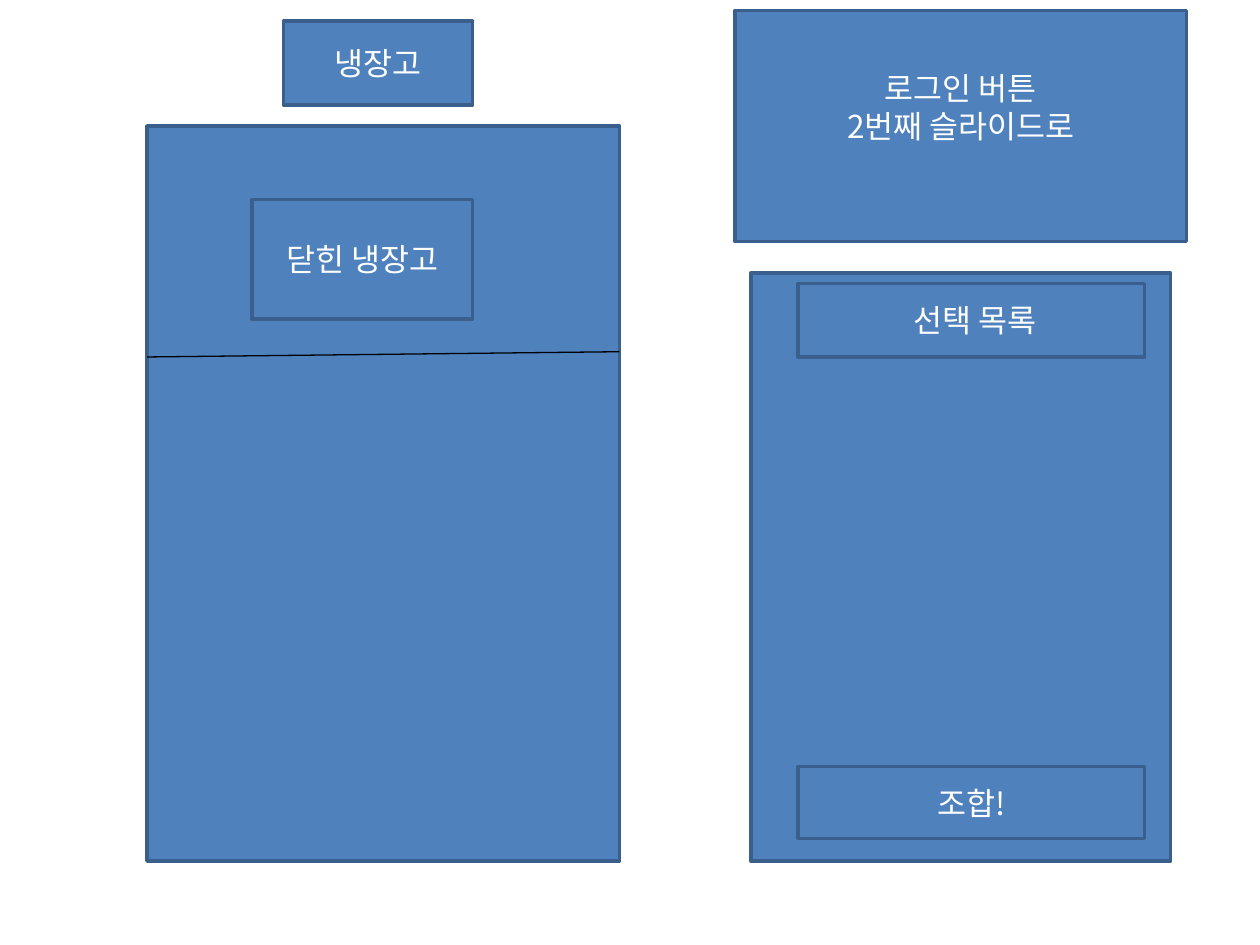
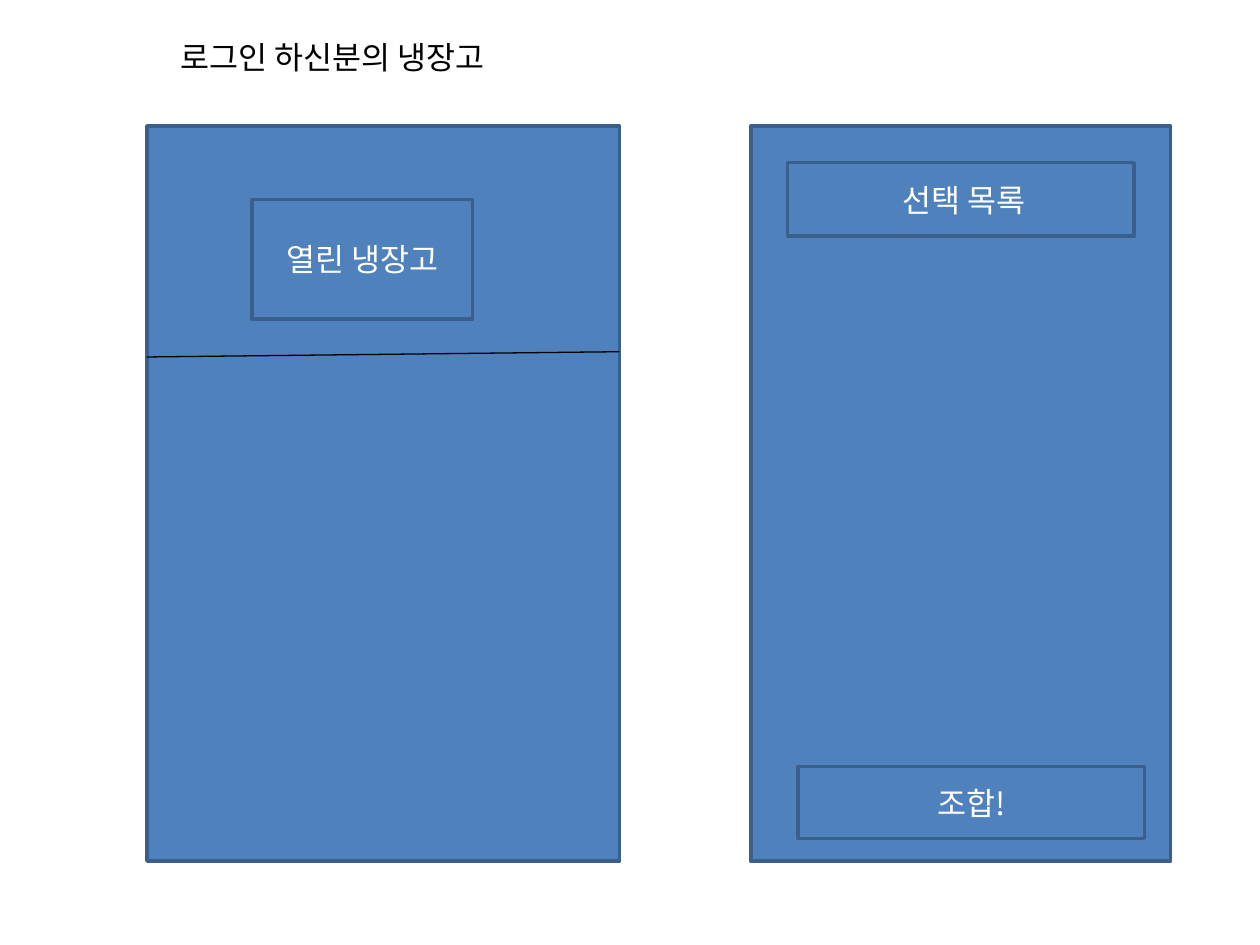
import pptx
import pptx.util
import pptx.dml.color
import pptx.enum.shapes
import pptx.enum.text
import pptx.oxml.ns
import lxml.etree

PANEL_BLUE = pptx.dml.color.RGBColor(0x4F, 0x81, 0xBD)
EDGE_BLUE = pptx.dml.color.RGBColor(0x3A, 0x5F, 0x8C)
WHITE = pptx.dml.color.RGBColor(0xFF, 0xFF, 0xFF)
BLACK = pptx.dml.color.RGBColor(0x00, 0x00, 0x00)
FONT = "Noto Sans CJK KR"
COLUMNS, ROWS = 120, 90

deck = pptx.Presentation()
deck.slide_width = pptx.util.Inches(10)
deck.slide_height = pptx.util.Inches(7.5)
column = deck.slide_width / COLUMNS
row = deck.slide_height / ROWS


def write(frame, text, color, alignment):
    frame.text = text
    frame.word_wrap = True
    for paragraph in frame.paragraphs:
        paragraph.alignment = alignment
        for run in paragraph.runs:
            run.font.size = pptx.util.Pt(18)
            run.font.color.rgb = color
            run.font.name = FONT
            lxml.etree.SubElement(run.font._element, pptx.oxml.ns.qn("a:ea"), typeface=FONT)


def add_box(slide, left, top, width, height, text=""):
    box = slide.shapes.add_shape(
        pptx.enum.shapes.MSO_SHAPE.RECTANGLE,
        int(left * column), int(top * row), int(width * column), int(height * row))
    box.shadow.inherit = False
    box.fill.solid()
    box.fill.fore_color.rgb = PANEL_BLUE
    box.line.color.rgb = EDGE_BLUE
    box.line.width = pptx.util.Pt(2)
    box.text_frame.vertical_anchor = pptx.enum.text.MSO_ANCHOR.MIDDLE
    if text:
        write(box.text_frame, text, WHITE, pptx.enum.text.PP_ALIGN.CENTER)
    return box


FRIDGE_LEFT, FRIDGE_TOP, FRIDGE_WIDTH, FRIDGE_HEIGHT = 14, 12, 45, 70
FLOOR = FRIDGE_TOP + FRIDGE_HEIGHT
screens = [
    ("닫힌 냉장고", 26, 76, 27),
    ("열린 냉장고", FRIDGE_TOP, 75, 15.5),
]

slides = []
for fridge_state, list_top, heading_left, heading_top in screens:
    slide = deck.slides.add_slide(deck.slide_layouts[6])
    slides.append(slide)
    add_box(slide, FRIDGE_LEFT, FRIDGE_TOP, FRIDGE_WIDTH, FRIDGE_HEIGHT)
    add_box(slide, 71.5, list_top, 40, FLOOR - list_top)
    add_box(slide, heading_left, heading_top, 33, 7, " 선택 목록")
    door_gap = slide.shapes.add_connector(
        pptx.enum.shapes.MSO_CONNECTOR.STRAIGHT,
        int(FRIDGE_LEFT * column), int(34 * row),
        int((FRIDGE_LEFT + FRIDGE_WIDTH) * column), int(33.5 * row))
    door_gap.line.color.rgb = BLACK
    door_gap.line.width = pptx.util.Pt(0.75)
    lxml.etree.SubElement(door_gap._element.spPr, pptx.oxml.ns.qn("a:effectLst"))
    add_box(slide, 76, 73, 33, 6.85, "조합!")
    add_box(slide, 24, 19, 21, 11.4, fridge_state)

closed_screen, open_screen = slides

add_box(closed_screen, 27, 2, 18, 8, "냉장고")
login_button = add_box(closed_screen, 70, 1, 43, 22, "로그인 버튼\n2번째 슬라이드로")
login_button.text_frame.margin_bottom = pptx.util.Inches(0.35)

owner_title = open_screen.shapes.add_textbox(
    int(16 * column), int(3 * row), int(84 * column), int(4.8 * row))
write(owner_title.text_frame, "로그인 하신분의 냉장고", BLACK, pptx.enum.text.PP_ALIGN.LEFT)
owner_title.text_frame.auto_size = pptx.enum.text.MSO_AUTO_SIZE.SHAPE_TO_FIT_TEXT

deck.save("out.pptx")
